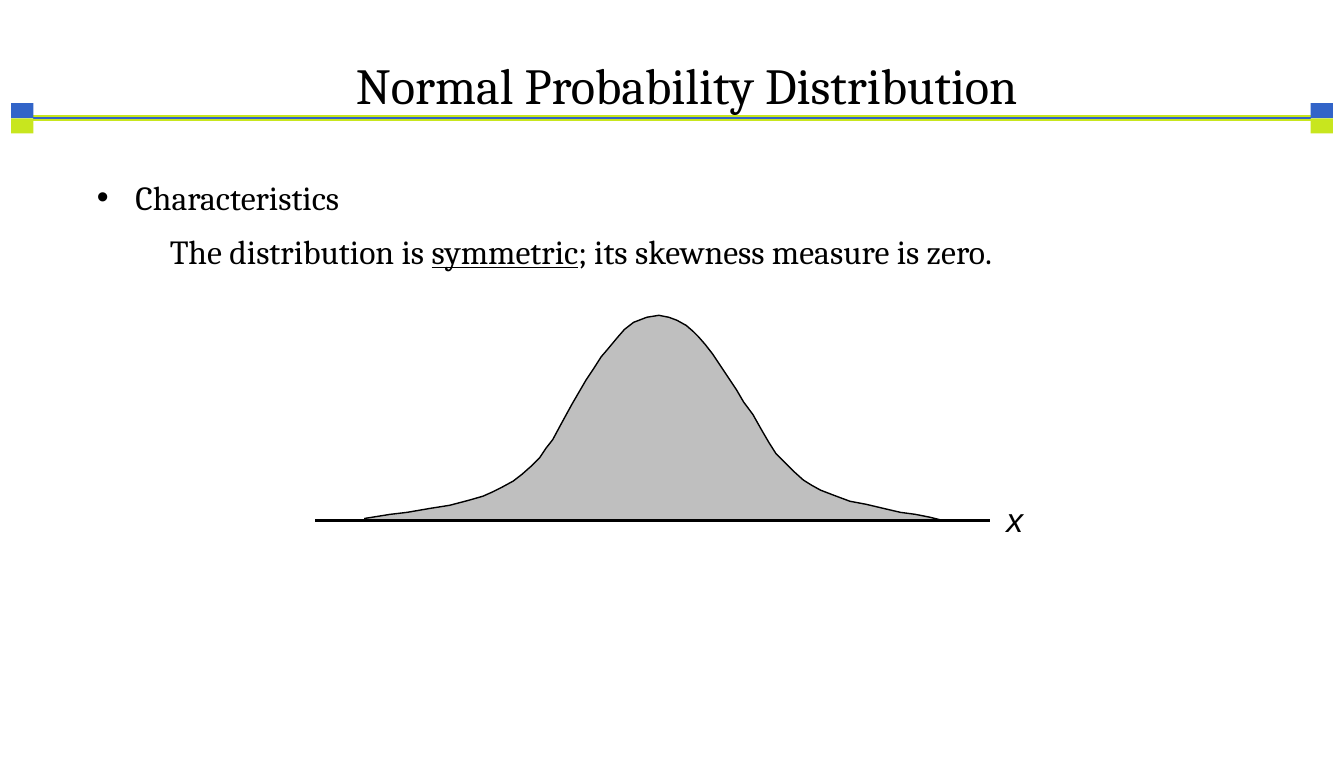
"""Build a slide on the symmetry of the normal distribution, on a grid of 1330 columns by 750 rows."""
from typing import NamedTuple

from lxml import etree
from pptx import Presentation
from pptx import util as u
from pptx.dml.color import RGBColor
from pptx.enum import shapes, text
from pptx.oxml.ns import qn

COLUMNS, ROWS = 1330, 750
CELL = u.Inches(13.3) // COLUMNS
BLACK, GREY, BLUE, LIME = "000000", "BFBFBF", "3264C8", "C8E61E"
RULE_ROW, AXIS_ROW = 117, 515
BLOCK_WIDTH, BLOCK_HEIGHT = 22, 15
RULE_LEFT, RULE_RIGHT = 33, 1297

LEFT_HALF = [
    (652, 312), (640, 314), (627, 319), (618, 326), (611, 334), (601, 346),
    (595, 353), (588, 364), (580, 376), (573, 388), (566, 400), (560, 411),
    (554, 422), (547, 435), (540, 444), (534, 453), (526, 461), (517, 469),
    (508, 476), (497, 482), (487, 487), (478, 491), (464, 495), (445, 500),
    (426, 503), (403, 507), (386, 509), (361, 513), (361, 515),
]
RIGHT_HALF = [
    (933, 515), (921, 512), (906, 509), (891, 507), (874, 503), (857, 499),
    (841, 496), (825, 490), (812, 485), (803, 480), (795, 475), (785, 466),
    (777, 458), (768, 449), (761, 438), (754, 426), (745, 410), (736, 398),
    (729, 386), (719, 371), (711, 359), (705, 350), (698, 341), (691, 333),
    (686, 328), (679, 322), (670, 317), (662, 314), (652, 312),
]


class Rule(NamedTuple):
    """A horizontal line."""
    left: int
    right: int
    row: int
    color: str
    points: float


class Run(NamedTuple):
    """A stretch of text."""
    words: str
    underline: bool = False


class Label(NamedTuple):
    """A one-paragraph text box without insets."""
    left: int
    top: int
    width: int
    height: int
    runs: list[Run]
    size: int = 24
    font: str = "Cambria"
    italic: bool = False
    align: text.PP_ALIGN = text.PP_ALIGN.LEFT
    spacing: float = 1.0
    bullet_indent: int = 0


HEADER_RULES = [
    Rule(RULE_LEFT, RULE_RIGHT, RULE_ROW, LIME, 4.5),
    Rule(RULE_LEFT, RULE_RIGHT, RULE_ROW, BLUE, 1.75),
]
AXIS = Rule(312, 980, AXIS_ROW, BLACK, 2.25)
LABELS = [
    Label(168, 228, 1012, 41, [
        Run("The distribution is "), Run("symmetric", True),
        Run("; its skewness measure is zero."),
    ]),
    Label(96, 175, 460, 47, [Run("Characteristics")], bullet_indent=38),
    Label(996, 494, 27, 40, [Run("x")], font="Arial", italic=True),
    Label(124, 60, 1111, 53, [Run("Normal Probability Distribution")], size=36,
          align=text.PP_ALIGN.CENTER, spacing=0.9),
]


def rgb(color: str) -> RGBColor:
    """Turn a hex string into a colour."""
    return RGBColor.from_string(color)


def draw_rule(slide, rule: Rule) -> None:
    """Draw a horizontal line without a shadow."""
    line = slide.shapes.add_connector(
        shapes.MSO_CONNECTOR.STRAIGHT, rule.left * CELL, rule.row * CELL,
        rule.right * CELL, rule.row * CELL)
    line.line.color.rgb = rgb(rule.color)
    line.line.width = u.Pt(rule.points)
    etree.SubElement(line._element.spPr, qn("a:effectLst"))


def draw_block(slide, left: int, top: int, color: str) -> None:
    """Draw one coloured block at an end of the header rule."""
    block = slide.shapes.add_shape(
        shapes.MSO_SHAPE.RECTANGLE, left * CELL, top * CELL,
        BLOCK_WIDTH * CELL, BLOCK_HEIGHT * CELL)
    block.shadow.inherit = False
    block.fill.solid()
    block.fill.fore_color.rgb = rgb(color)
    block.line.fill.background()


def draw_curve(slide, outline: list[tuple[int, int]]) -> None:
    """Draw the filled bell curve."""
    builder = slide.shapes.build_freeform(*outline[0], scale=CELL)
    builder.add_line_segments(outline[1:], close=True)
    curve = builder.convert_to_shape()
    curve.shadow.inherit = False
    curve.fill.solid()
    curve.fill.fore_color.rgb = rgb(GREY)
    curve.line.color.rgb = rgb(BLACK)
    curve.line.width = u.Pt(1)


def add_bullet(paragraph, indent: int) -> None:
    """Give a paragraph a hanging round bullet."""
    properties = paragraph._p.get_or_add_pPr()
    properties.set("marL", str(indent * CELL))
    properties.set("indent", str(-indent * CELL))
    etree.SubElement(properties, qn("a:buFont")).set("typeface", "Arial")
    etree.SubElement(properties, qn("a:buChar")).set("char", "•")


def draw_label(slide, label: Label) -> None:
    """Draw a text box with its runs."""
    box = slide.shapes.add_textbox(
        label.left * CELL, label.top * CELL, label.width * CELL, label.height * CELL)
    frame = box.text_frame
    frame.word_wrap = True
    frame.margin_left = frame.margin_right = frame.margin_top = frame.margin_bottom = 0
    paragraph = frame.paragraphs[0]
    paragraph.alignment = label.align
    paragraph.line_spacing = label.spacing
    if label.bullet_indent:
        add_bullet(paragraph, label.bullet_indent)
    paragraph.font.name = label.font
    paragraph.font.size = u.Pt(label.size)
    paragraph.font.italic = label.italic
    paragraph.font.color.rgb = rgb(BLACK)
    for part in label.runs:
        run = paragraph.add_run()
        run.text = part.words
        if part.underline:
            run.font.underline = True


def main() -> None:
    """Build and save the slide."""
    presentation = Presentation()
    presentation.slide_width = COLUMNS * CELL
    presentation.slide_height = ROWS * CELL
    slide = presentation.slides.add_slide(presentation.slide_layouts[6])
    for rule in HEADER_RULES:
        draw_rule(slide, rule)
    for left in (RULE_LEFT - BLOCK_WIDTH, RULE_RIGHT):
        draw_block(slide, left, RULE_ROW - BLOCK_HEIGHT, BLUE)
        draw_block(slide, left, RULE_ROW, LIME)
    draw_curve(slide, LEFT_HALF + RIGHT_HALF)
    draw_rule(slide, AXIS)
    for label in LABELS:
        draw_label(slide, label)
    presentation.save("out.pptx")


if __name__ == "__main__":
    main()
